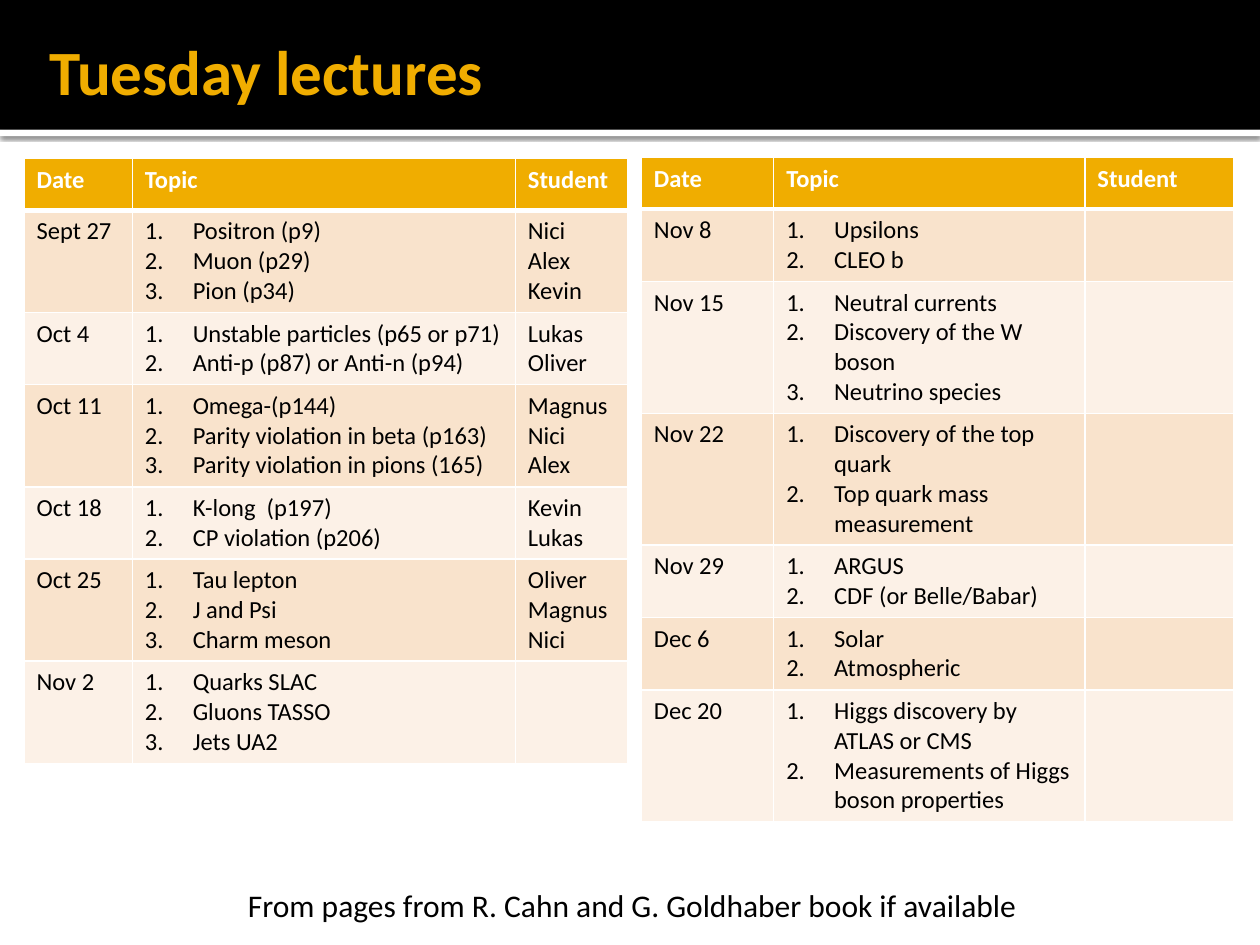
from lxml.etree import SubElement
from pptx import Presentation
from pptx.dml.color import RGBColor
from pptx.enum.shapes import MSO_SHAPE
from pptx.enum.text import MSO_ANCHOR, MSO_AUTO_SIZE, PP_ALIGN
from pptx.oxml import parse_xml
from pptx.oxml.ns import nsdecls, qn
from pptx.util import Inches, Pt

COLORS = {
    "white": "FFFFFF",
    "black": "000000",
    "gold": "F0AD00",
    "band_dark": "F9E3CC",
    "band_light": "FCF1E7",
}
FONTS = {
    "title": {"size": Pt(36), "bold": True, "color": "gold"},
    "header": {"size": Pt(14), "bold": True, "color": "white"},
    "body": {"size": Pt(14), "bold": False, "color": "black"},
    "note": {"size": Pt(18), "bold": False, "color": "black"},
}
HEADINGS = ["Date", "Topic", "Student"]
AUTUMN_LECTURES = [
    ("Sept 27", ["Positron (p9)", "Muon (p29)", "Pion (p34)"], ["Nici", "Alex", "Kevin"]),
    ("Oct 4", ["Unstable particles (p65 or p71)", "Anti-p (p87) or Anti-n (p94)"],
     ["Lukas", "Oliver"]),
    ("Oct 11", ["Omega-(p144)", "Parity violation in beta (p163)",
                "Parity violation in pions (165)"], ["Magnus", "Nici", "Alex"]),
    ("Oct 18", ["K-long  (p197)", "CP violation (p206)"], ["Kevin", "Lukas"]),
    ("Oct 25", ["Tau lepton", "J and Psi", "Charm meson"], ["Oliver", "Magnus", "Nici"]),
    ("Nov 2", ["Quarks SLAC", "Gluons TASSO", "Jets UA2"], []),
]
WINTER_LECTURES = [
    ("Nov 8", ["Upsilons", "CLEO b"], []),
    ("Nov 15", ["Neutral currents", "Discovery of the W boson", "Neutrino species"], []),
    ("Nov 22", ["Discovery of the top quark", "Top quark mass measurement"], []),
    ("Nov 29", ["ARGUS", "CDF (or Belle/Babar)"], []),
    ("Dec 6", ["Solar", "Atmospheric"], []),
    ("Dec 20", ["Higgs discovery by ATLAS or CMS",
                "Measurements of Higgs boson properties"], []),
]
HEADER_HEIGHT = 0.41
LINE_HEIGHT = 0.235
NUMBER_INDENT = Inches(0.38)


def rgb(name):
    return RGBColor.from_string(COLORS[name])


def fill_paragraph(paragraph, text, style):
    run = paragraph.add_run()
    run.text = text
    run.font.name = "Calibri"
    for attribute, value in FONTS[style].items():
        if attribute == "color":
            run.font.color.rgb = rgb(value)
        else:
            setattr(run.font, attribute, value)


def number_paragraph(paragraph):
    properties = paragraph._p.get_or_add_pPr()
    properties.set("marL", str(NUMBER_INDENT))
    properties.set("indent", str(-NUMBER_INDENT))
    SubElement(properties, qn("a:buFont"), typeface="+mj-lt")
    SubElement(properties, qn("a:buAutoNum"), type="arabicPeriod")


def add_bar(slide, box, color):
    bar = slide.shapes.add_shape(MSO_SHAPE.RECTANGLE, *map(Inches, box))
    bar.shadow.inherit = False
    bar.fill.solid()
    bar.fill.fore_color.rgb = rgb(color)
    bar.line.fill.background()
    return bar


def add_bar_shadow(bar):
    effects = bar.element.spPr.find(qn("a:effectLst"))
    effects.append(parse_xml(
        f'<a:outerShdw {nsdecls("a")} blurRad="{Pt(2.5)}" dist="{Pt(0.8)}" dir="5400000"'
        f' rotWithShape="0"><a:srgbClr val="{COLORS["black"]}"><a:alpha val="60000"/>'
        '</a:srgbClr></a:outerShdw>'))


def add_title_band(slide, box):
    """Draw the black band with its white rule, and set the title over them."""
    left, top, width, height = box
    add_bar_shadow(add_bar(slide, (left, top + height, width, 0.05), "white"))
    add_bar(slide, box, "black")
    title = slide.shapes.title
    title.left, title.top = Inches(left + 0.29), Inches(top + 0.13)
    title.width, title.height = Inches(9.49), Inches(0.86)
    frame_format = {
        "vertical_anchor": MSO_ANCHOR.MIDDLE,
        "word_wrap": True,
        "margin_left": Inches(0.1),
        "margin_right": Inches(0.05),
        "margin_top": Inches(0.05),
        "margin_bottom": Inches(0.05),
    }
    for attribute, value in frame_format.items():
        setattr(title.text_frame, attribute, value)
    paragraph = title.text_frame.paragraphs[0]
    paragraph.alignment = PP_ALIGN.LEFT
    fill_paragraph(paragraph, "Tuesday lectures", "title")
    title.element.getparent().append(title.element)  # bring in front of the band


def set_borders(cell, row):
    """Give white borders, with a thicker rule under the header row."""
    widths = {"lnL": 1, "lnR": 1, "lnT": 3 if row == 1 else 1, "lnB": 3 if row == 0 else 1}
    properties = cell._tc.get_or_add_tcPr()
    for tag, width in widths.items():
        line = SubElement(properties, qn(f"a:{tag}"), w=str(Pt(width)))
        fill = SubElement(line, qn("a:solidFill"))
        SubElement(fill, qn("a:srgbClr"), val=COLORS["white"])


def fill_cell(cell, lines, row, numbered):
    set_borders(cell, row)
    cell.fill.solid()
    band = "gold" if row == 0 else "band_dark" if row % 2 else "band_light"
    cell.fill.fore_color.rgb = rgb(band)
    frame = cell.text_frame
    for index, line in enumerate(lines):
        paragraph = frame.add_paragraph() if index else frame.paragraphs[0]
        if numbered:
            number_paragraph(paragraph)
        fill_paragraph(paragraph, line, "body" if row else "header")


def add_lecture_table(slide, box, column_widths, lectures, line_counts):
    rows = [[[heading] for heading in HEADINGS]]
    rows += [[[date], topics, students] for date, topics, students in lectures]
    table = slide.shapes.add_table(len(rows), len(HEADINGS), *map(Inches, box)).table
    for column, width in zip(table.columns, column_widths):
        column.width = Inches(width)
    table.rows[0].height = Inches(HEADER_HEIGHT)
    for row, count in zip(list(table.rows)[1:], line_counts):
        row.height = Inches(0.1 + count * LINE_HEIGHT)
    for row, contents in enumerate(rows):
        for column, lines in enumerate(contents):
            numbered = row > 0 and column == 1
            fill_cell(table.cell(row, column), lines, row, numbered)


def add_source_note(slide, box):
    frame = slide.shapes.add_textbox(*map(Inches, box)).text_frame
    frame.word_wrap = False
    frame.auto_size = MSO_AUTO_SIZE.SHAPE_TO_FIT_TEXT
    fill_paragraph(frame.paragraphs[0],
                   "From pages from R. Cahn and G. Goldhaber book if available", "note")


def main():
    presentation = Presentation()
    presentation.slide_width, presentation.slide_height = Inches(10), Inches(7.5)
    slide = presentation.slides.add_slide(presentation.slide_layouts[5])
    add_title_band(slide, (0, 0, 10, 1.03))
    add_lecture_table(slide, (0.19, 1.26, 4.79, 4.74), (0.86, 3.04, 0.89),
                      AUTUMN_LECTURES, (3, 2, 3, 2, 3, 3))
    add_lecture_table(slide, (5.09, 1.25, 4.7, 5.21), (1.05, 2.47, 1.18),
                      WINTER_LECTURES, (2, 4, 4, 2, 2, 4))
    add_source_note(slide, (1.87, 6.98, 6.43, 0.4))
    presentation.save("out.pptx")


if __name__ == "__main__":
    main()
